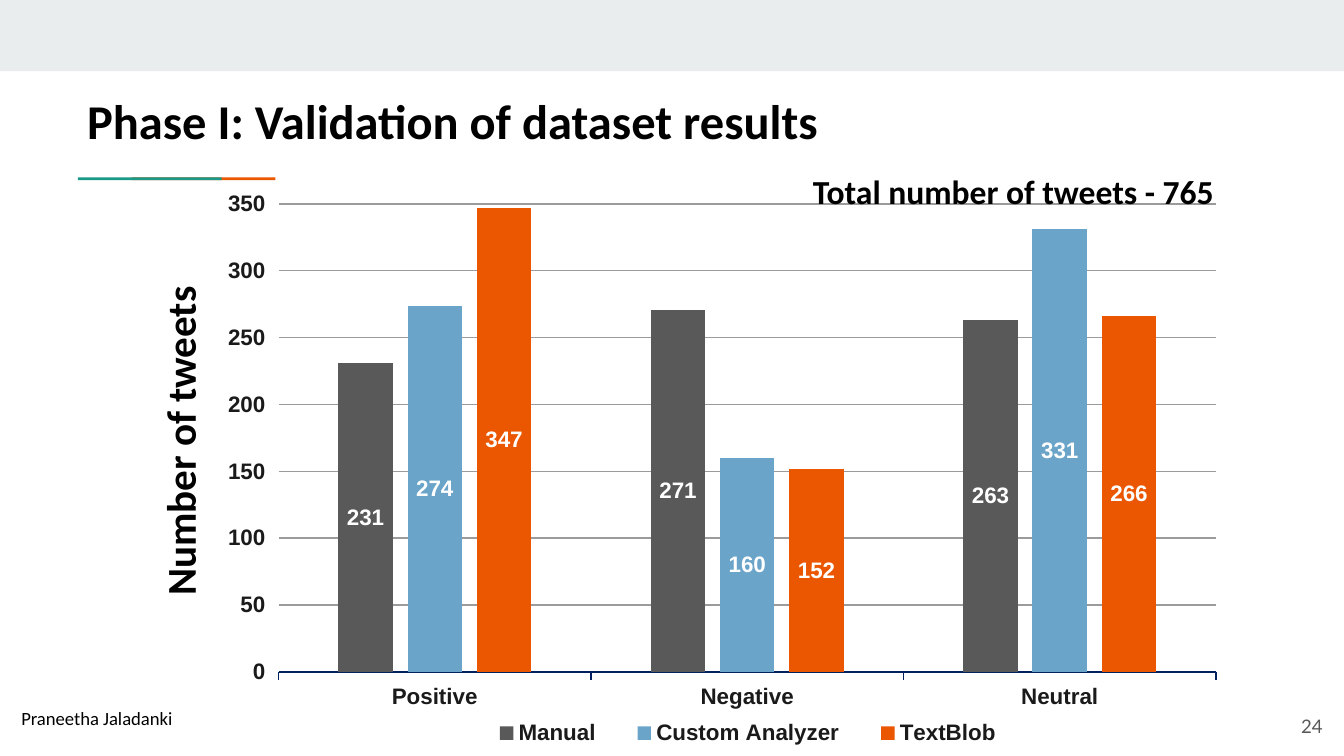
from dataclasses import dataclass

import pptx
import pptx.chart.data
import pptx.dml.color
import pptx.enum.chart
import pptx.enum.shapes
import pptx.enum.text
import pptx.oxml
import pptx.oxml.ns
import pptx.util
from pptx.util import Inches

COLORS = {
    "band": "E9EDEE", "teal": "1A9988", "orange": "EB5600", "gray": "595959",
    "blue": "6AA4C8", "black": "000000", "white": "FFFFFF", "ink": "1A1A1A",
    "navy": "002060", "grid": "9B9B9B",
}
LEFT = pptx.enum.text.PP_ALIGN.LEFT
RIGHT = pptx.enum.text.PP_ALIGN.RIGHT
MIDDLE = pptx.enum.text.MSO_ANCHOR.MIDDLE
TOP = pptx.enum.text.MSO_ANCHOR.TOP


@dataclass
class Bar:
    box: tuple
    color: str


@dataclass
class Label:
    text: str
    box: tuple
    size: int
    bold: bool = False
    font: str = "Calibri"
    color: str = "black"
    align: object = LEFT
    anchor: object = MIDDLE
    pad: float = 0.1
    turn: int = 0
    wrap: bool = True
    indent: float = 0
    spacing: float = 1.0


@dataclass
class Series:
    name: str
    values: tuple
    color: str


BARS = [
    Bar((0, 0, 10, 0.53), "band"),
    Bar((0.98, 1.32, 1.07, 0.02), "orange"),
    Bar((0.58, 1.32, 1.07, 0.02), "teal"),
]
HEADS = [
    Label("Phase I: Validation of dataset results", (0.55, -0.03, 9.66, 1.85), 26, True),
    Label("Number of tweets", (-0.09, 2.66, 2.85, 0.89), 22, True, turn=270),
]
NOTES = [
    Label("24", (9.34, 5.19, 0.6, 0.43), 10, font="Lato", color="gray", align=RIGHT),
    Label("Praneetha Jaladanki", (0.06, 5.21, 2.38, 0.27), 10, anchor=TOP, pad=0.05),
    Label("Total number of tweets - 765", (5.45, 1.26, 3.75, 0.37), 18, True,
          anchor=TOP, pad=0.05, wrap=False, indent=0.5, spacing=0.9),
]
GROUPS = ("Positive", "Negative", "Neutral")
SERIES = [
    Series("Manual", (231, 271, 263), "gray"),
    Series("Custom Analyzer", (274, 160, 331), "blue"),
    Series("TextBlob", (347, 152, 266), "orange"),
]
PLOT = {"x": 0.058, "y": 0.059, "w": 0.913, "h": 0.797}
LEGEND = {"x": 0.24, "y": 0.93, "w": 0.55, "h": 0.06}


def rgb(name: str) -> pptx.dml.color.RGBColor:
    return pptx.dml.color.RGBColor.from_string(COLORS[name])


def set_font(font, name: str, size: int, color: str, bold: bool) -> None:
    font.name = name
    font.size = pptx.util.Pt(size)
    font.bold = bold
    font.color.rgb = rgb(color)


def set_line(line, color: str) -> None:
    line.color.rgb = rgb(color)
    line.width = pptx.util.Pt(0.75)


def draw_bar(slide, bar: Bar) -> None:
    kind = pptx.enum.shapes.MSO_SHAPE.RECTANGLE
    shape = slide.shapes.add_shape(kind, *map(Inches, bar.box))
    shape.shadow.inherit = False
    shape.fill.solid()
    shape.fill.fore_color.rgb = rgb(bar.color)
    shape.line.fill.background()


def draw_label(slide, label: Label) -> None:
    box = slide.shapes.add_textbox(*map(Inches, label.box))
    box.rotation = label.turn
    frame = box.text_frame
    frame.word_wrap = label.wrap
    frame.vertical_anchor = label.anchor
    frame.margin_left = frame.margin_right = Inches(0.1)
    frame.margin_top = frame.margin_bottom = Inches(label.pad)
    para = frame.paragraphs[0]
    para.alignment = label.align
    para.line_spacing = label.spacing
    if label.indent:
        para._p.get_or_add_pPr().set("marL", str(Inches(label.indent)))
    run = para.add_run()
    run.text = label.text
    set_font(run.font, label.font, label.size, label.color, label.bold)


def place_part(part, index: int, box: dict, target: str = "") -> None:
    """Fix a chart part at fractions of the chart; the layout goes in at index."""
    for old in part.findall(pptx.oxml.ns.qn("c:layout")):
        part.remove(old)
    edges = "".join(f'<c:{key}Mode val="edge"/>' for key in "xy")
    sizes = "".join(f'<c:{key} val="{val}"/>' for key, val in box.items())
    part.insert(index, pptx.oxml.parse_xml(
        f'<c:layout {pptx.oxml.ns.nsdecls("c")}><c:manualLayout>'
        f'{target}{edges}{sizes}</c:manualLayout></c:layout>'))


def draw_chart(slide) -> None:
    enums = pptx.enum.chart
    data = pptx.chart.data.CategoryChartData()
    data.categories = GROUPS
    for item in SERIES:
        data.add_series(item.name, item.values)
    box = map(Inches, (1.63, 1.26, 7.64, 4.37))
    chart = slide.shapes.add_chart(enums.XL_CHART_TYPE.COLUMN_CLUSTERED, *box, data).chart
    chart.has_title = False
    set_font(chart.font, "Arial", 10, "teal", False)
    chart.has_legend = True
    chart.legend.position = enums.XL_LEGEND_POSITION.BOTTOM
    chart.legend.include_in_layout = False
    root = chart._chartSpace.chart
    place_part(root.plotArea, 0, PLOT, '<c:layoutTarget val="inner"/>')
    place_part(root.find(pptx.oxml.ns.qn("c:legend")), 1, LEGEND)

    cats, vals = chart.category_axis, chart.value_axis
    for part in (chart.legend.font, cats.tick_labels.font, vals.tick_labels.font):
        set_font(part, "Arial", 12, "ink", True)
    for axis in (cats, vals):
        axis.major_tick_mark = enums.XL_TICK_MARK.OUTSIDE
    set_line(cats.format.line, "navy")
    vals.format.line.fill.background()
    set_line(vals.major_gridlines.format.line, "grid")
    vals.minimum_scale, vals.maximum_scale, vals.major_unit = 0, 350, 50

    plot = chart.plots[0]
    plot.gap_width, plot.overlap = 219, -27
    plot.vary_by_categories = False
    for item, series in zip(SERIES, plot.series):
        series.format.fill.solid()
        series.format.fill.fore_color.rgb = rgb(item.color)
        labels = series.data_labels
        labels.show_value = True
        labels.position = enums.XL_LABEL_POSITION.CENTER
        set_font(labels.font, "Arial", 12, "white", True)


def main() -> None:
    deck = pptx.Presentation()
    deck.slide_width = Inches(10)
    deck.slide_height = deck.slide_width * 9 // 16
    slide = deck.slides.add_slide(deck.slide_layouts[6])
    for bar in BARS:
        draw_bar(slide, bar)
    for label in HEADS:
        draw_label(slide, label)
    draw_chart(slide)
    for label in NOTES:
        draw_label(slide, label)
    deck.save("out.pptx")


if __name__ == "__main__":
    main()
